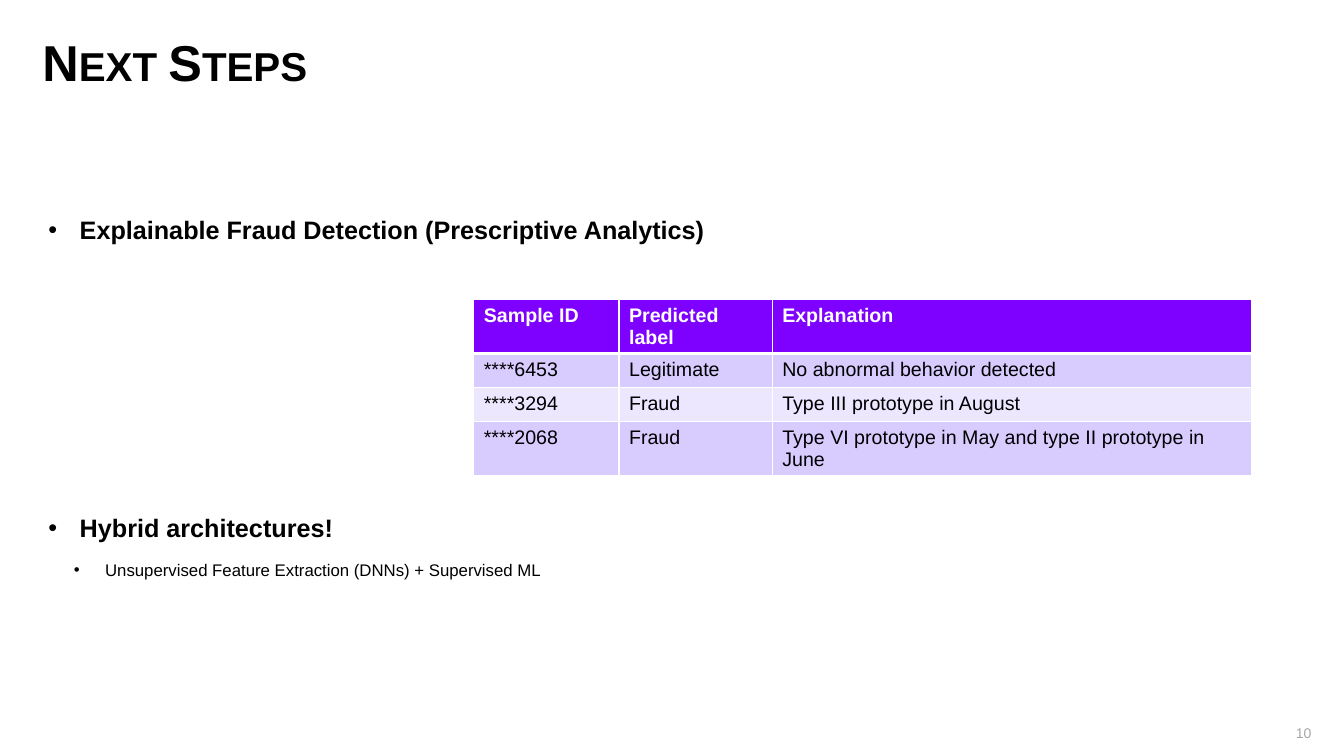
from dataclasses import dataclass

from lxml.etree import SubElement
from pptx import Presentation
from pptx.dml.color import RGBColor
from pptx.enum.text import MSO_ANCHOR, MSO_AUTO_SIZE, PP_ALIGN
from pptx.oxml.ns import qn
from pptx.util import Cm, Pt


@dataclass(frozen=True)
class Theme:
    font: str = "Arial"
    ink: str = "000000"
    muted: str = "A6A6A6"
    white: str = "FFFFFF"
    header: str = "7E00FF"
    bands: tuple = ("D8CCFF", "ECE7FF")
    title_size: int = 36
    bullet_size: int = 18
    table_size: int = 14
    detail_size: int = 12
    number_size: int = 10


class SlideBuilder:
    """Draws styled elements on the current slide."""

    def __init__(self, prs, theme):
        self.theme = theme
        self.slide = prs.slides.add_slide(prs.slide_layouts[5])

    def style(self, p, size, color, bold=False):
        for r in p.runs:
            r.font.name = self.theme.font
            r.font.size = Pt(size)
            r.font.bold = bold
            r.font.color.rgb = RGBColor.from_string(color)

    def frame(self, sp, top=0, bottom=0, anchor=MSO_ANCHOR.TOP):
        tf = sp.text_frame
        tf.word_wrap = True
        tf.auto_size = MSO_AUTO_SIZE.NONE
        tf.vertical_anchor = anchor
        tf.margin_left = tf.margin_right = 0
        tf.margin_top, tf.margin_bottom = Cm(top), Cm(bottom)
        return tf

    def title(self, text, left, top, width, height):
        sp = self.slide.shapes.title
        sp.left, sp.top, sp.width, sp.height = map(Cm, (left, top, width, height))
        tf = self.frame(sp, top=0.13)
        tf.text = text
        p = tf.paragraphs[0]
        p.alignment = PP_ALIGN.LEFT
        p.line_spacing = 0.7
        self.style(p, self.theme.title_size, self.theme.ink, True)
        p.runs[0].font._element.set("cap", "small")

    def number(self, text, left, top, width, height):
        sp = self.slide.shapes.add_textbox(*map(Cm, (left, top, width, height)))
        tf = self.frame(sp, anchor=MSO_ANCHOR.BOTTOM)
        tf.text = text
        p = tf.paragraphs[0]
        p.alignment = PP_ALIGN.RIGHT
        self.style(p, self.theme.number_size, self.theme.muted)

    def bullets(self, items, left, top, width, height):
        sp = self.slide.shapes.add_textbox(*map(Cm, (left, top, width, height)))
        tf = self.frame(sp, top=0.25, bottom=0.13)
        tf.text = "\n".join(text for text, _, _ in items)
        for p, (_, level, gap) in zip(tf.paragraphs, items):
            p.level = level
            p.line_spacing = 1.0 if level else 0.85
            p.space_before, p.space_after = Pt(gap), Pt(12)
            pPr = p._p.get_or_add_pPr()
            pPr.set("marL", str(Cm(0.94 + 0.64 * level)))
            pPr.set("indent", str(-Cm(0.79)))
            SubElement(pPr, qn("a:buFont"), typeface=self.theme.font)
            SubElement(pPr, qn("a:buChar"), char="•")
            size = self.theme.detail_size if level else self.theme.bullet_size
            self.style(p, size, self.theme.ink, level == 0)

    def borders(self, cell, widths):
        tcPr = cell._tc.get_or_add_tcPr()
        for side, width in zip("LRTB", widths):
            ln = SubElement(tcPr, qn(f"a:ln{side}"), w=str(Pt(width)))
            fill = SubElement(ln, qn("a:solidFill"))
            SubElement(fill, qn("a:srgbClr"), val=self.theme.white)

    def table(self, rows, left, top, col_widths, row_height):
        size = sum(col_widths), row_height * len(rows)
        table = self.slide.shapes.add_table(
            len(rows), len(col_widths), *map(Cm, (left, top, *size))).table
        for column, width in zip(table.columns, col_widths):
            column.width = Cm(width)
        for i, row in enumerate(rows):
            table.rows[i].height = Cm(row_height)
            head = i == 0
            fill = self.theme.header if head else self.theme.bands[(i - 1) % 2]
            color = self.theme.white if head else self.theme.ink
            for j, text in enumerate(row):
                cell = table.cell(i, j)
                self.borders(cell, (1, 1, 3 if i == 1 else 1, 3 if head else 1))
                cell.fill.solid()
                cell.fill.fore_color.rgb = RGBColor.from_string(fill)
                cell.text = text
                self.style(cell.text_frame.paragraphs[0],
                           self.theme.table_size, color, head)


def main():
    prs = Presentation()
    prs.slide_width, prs.slide_height = Cm(33.87), Cm(19.05)
    s = SlideBuilder(prs, Theme())
    s.title("Next Steps", 1.07, 1.07, 31.75, 1.37)
    s.number("10", 31.95, 18.11, 1.1, 0.58)
    s.bullets([
        ("Explainable Fraud Detection (Prescriptive Analytics)", 0, 0),
        ("Hybrid architectures!", 0, 182),
        ("Unsupervised Feature Extraction (DNNs) + Supervised ML", 1, 0),
    ], 1.07, 5.28, 29.46, 13.03)
    s.table([
        ("Sample ID", "Predicted label", "Explanation"),
        ("****6453", "Legitimate", "No abnormal behavior detected"),
        ("****3294", "Fraud", "Type III prototype in August"),
        ("****2068", "Fraud", "Type VI prototype in May and type II prototype in June"),
    ], 11.94, 7.54, (3.66, 3.86, 12.07), 0.86)
    prs.save("out.pptx")


if __name__ == "__main__":
    main()
